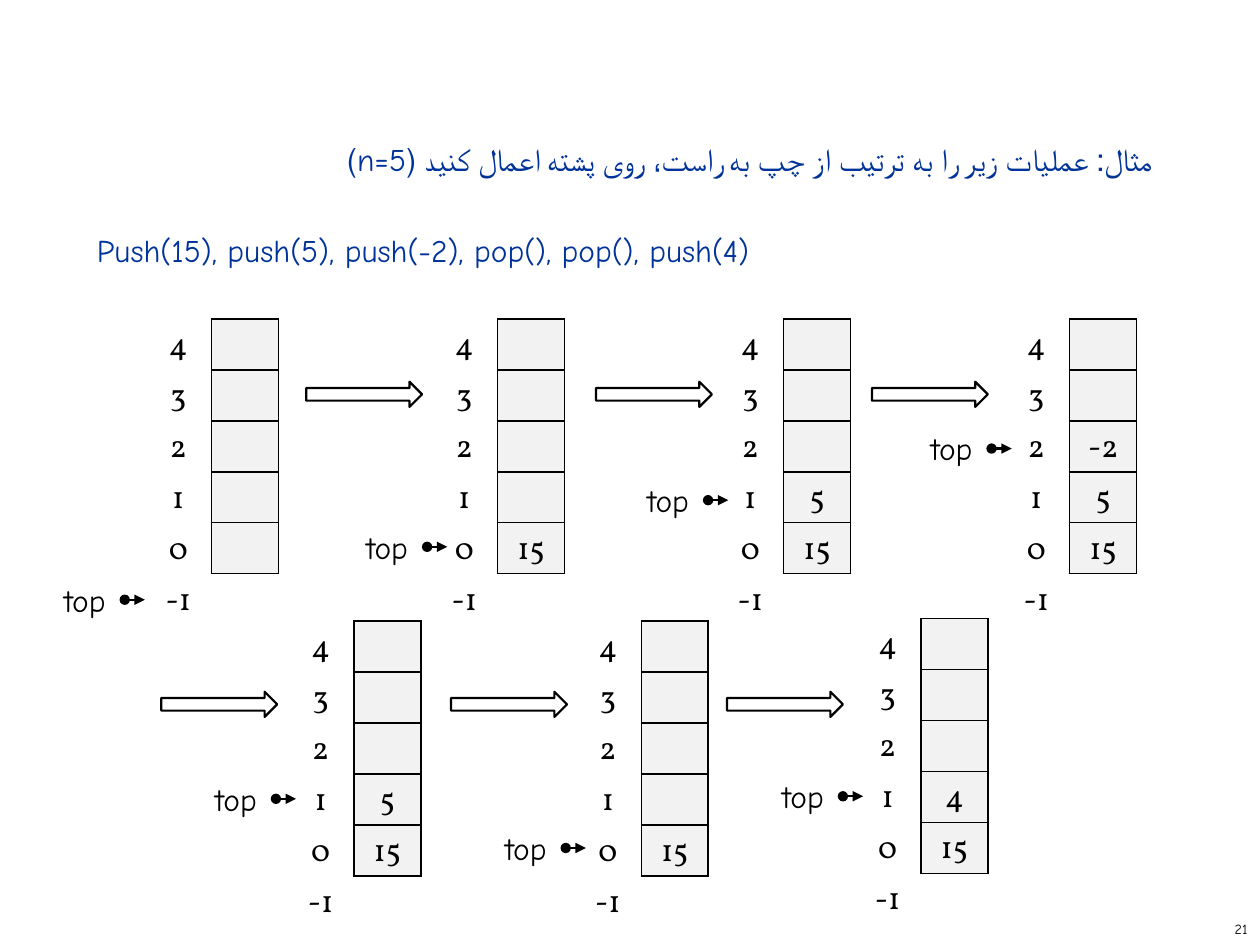
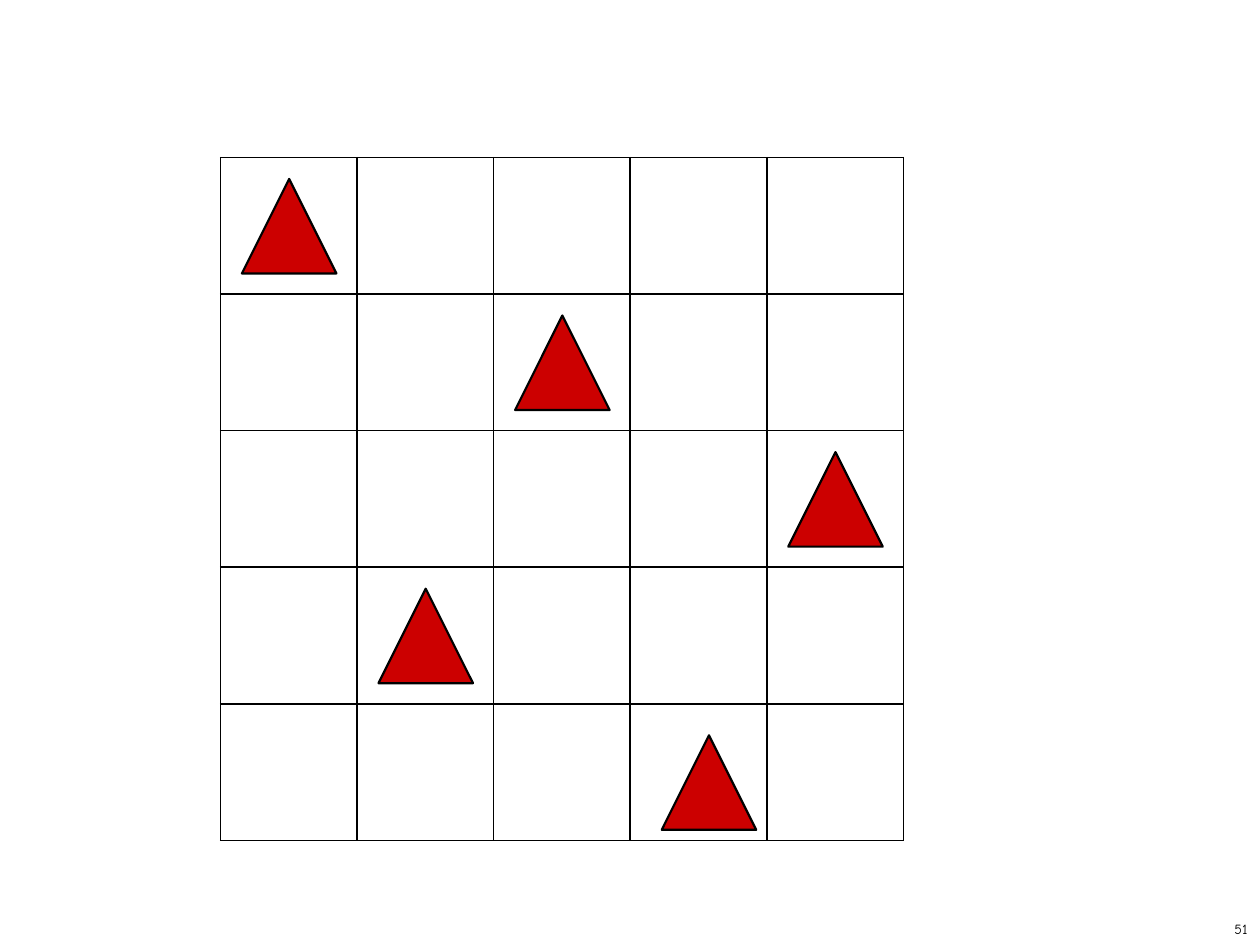
from lxml.etree import SubElement
from pptx import Presentation
from pptx.dml.color import RGBColor
from pptx.enum.shapes import MSO_CONNECTOR, MSO_SHAPE
from pptx.enum.text import MSO_ANCHOR, MSO_AUTO_SIZE, PP_ALIGN
from pptx.oxml.ns import qn
from pptx.util import Inches, Pt

HUES = {"ink": "000000", "blue": "003399", "cell": "F2F2F2", "red": "CC0000"}
SANS, SERIF = "Comic Neue", "Vollkorn"
PLAIN = "{2D5ABB26-0587-4C30-8999-92F81FD0307C}"  # table style without grid

# Stack states: left, top, values from index 0 up, left and top of the pointer
STACKS = [
    (1.15, 2.53, [], 0.41, 4.56),
    (3.42, 2.53, ["15"], 2.81, 4.14),
    (5.69, 2.53, ["15", "5"], 5.04, 3.77),
    (7.96, 2.53, ["15", "5", "-2"], 7.29, 3.36),
    (2.28, 4.93, ["15", "5"], 1.61, 6.14),
    (4.56, 4.93, ["15"], 3.91, 6.53),
    (6.78, 4.91, ["15", "4"], 6.11, 6.12),
]
SIZE = 5  # capacity of the stack and side of the board


def hue(name):
    return RGBColor.from_string(HUES[name])


def write(frame, text, size=18, font=SANS, color="ink", align=PP_ALIGN.LEFT,
          pitch=None, rtl=False):
    para = frame.paragraphs[0]
    para.alignment = align
    if pitch:
        para.line_spacing = Pt(pitch)
    if rtl:
        para._p.get_or_add_pPr().set("rtl", "1")
    run = para.add_run()
    run.text = text
    run.font.size = Pt(size)
    run.font.name = font
    run.font.color.rgb = hue(color)


def add_text(shapes, box, text, wrap=True, **style):
    frame = shapes.add_textbox(*map(Inches, box)).text_frame
    frame.word_wrap = wrap
    write(frame, text, **style)
    return frame


def add_page(slide, num):
    frame = add_text(slide.shapes, (7.92, 7.25, 2.08, 0.25), num, size=8,
                     align=PP_ALIGN.RIGHT)
    frame.vertical_anchor = MSO_ANCHOR.MIDDLE


def add_form(slide, kind, box, fill=None):
    form = slide.shapes.add_shape(kind, *map(Inches, box))
    form.shadow.inherit = False
    form.line.color.rgb = hue("ink")
    form.line.width = Pt(1.25)
    if fill:
        form.fill.solid()
        form.fill.fore_color.rgb = hue(fill)
    else:
        form.fill.background()


def add_grid(slide, rows, cols, box):
    table = slide.shapes.add_table(rows, cols, *map(Inches, box)).table
    table.first_row = table.horz_banding = False
    table._tbl.tblPr.find(qn("a:tableStyleId")).text = PLAIN
    return table


def dress(cell, sides, fill=None):
    """Draw the borders named in sides (from L, R, T, B) and fill the cell."""
    props = cell._tc.get_or_add_tcPr()
    for side in sides:
        line = SubElement(props, qn("a:ln" + side), w=str(Pt(1)))
        paint = SubElement(line, qn("a:solidFill"))
        SubElement(paint, qn("a:srgbClr"), val=HUES["ink"])
    if fill:
        cell.fill.solid()
        cell.fill.fore_color.rgb = hue(fill)
    else:
        cell.fill.background()


def add_stack(slide, left, top, values):
    table = add_grid(slide, SIZE + 1, 2, (left, top, 1.06, 2.43))
    for row in range(SIZE + 1):
        index = SIZE - 1 - row
        label, slot = table.cell(row, 0), table.cell(row, 1)
        dress(label, "R" if index >= 0 else "")
        dress(slot, "LRTB" if index >= 0 else "T", "cell" if index >= 0 else None)
        if values:  # the empty stack keeps its taller rows
            label.margin_bottom = slot.margin_bottom = 0
        style = dict(font=SERIF, align=PP_ALIGN.CENTER)
        write(label.text_frame, str(index), **style)
        if 0 <= index < len(values):
            write(slot.text_frame, values[index], **style)


def add_top(slide, left, top):
    group = slide.shapes.add_group_shape()
    y = Inches(top + 0.2)
    line = group.shapes.add_connector(
        MSO_CONNECTOR.STRAIGHT, Inches(left + 0.58), y, Inches(left + 0.74), y)
    line.line.color.rgb = hue("ink")
    line.line.width = Pt(1.25)
    stroke = line.line._get_or_add_ln()
    SubElement(stroke, qn("a:headEnd"), type="oval")
    SubElement(stroke, qn("a:tailEnd"), type="triangle")
    SubElement(line._element.spPr, qn("a:effectLst"))
    add_text(group.shapes, (left, top, 0.59, 0.4), "top", wrap=False)


def make_stacks(deck):
    slide = deck.slides.add_slide(deck.slide_layouts[5])

    # Heading and operations
    title = slide.shapes.title
    title.left, title.top, title.width, title.height = map(
        Inches, (0.67, 1, 8.58, 0.72))
    frame = title.text_frame
    frame.auto_size = MSO_AUTO_SIZE.NONE
    frame.vertical_anchor = MSO_ANCHOR.TOP
    write(frame, "مثال: عملیات زیر را به ترتیب از چپ به راست، روی پشته اعمال کنید (n=5)",
          color="blue", align=PP_ALIGN.RIGHT, pitch=26, rtl=True)
    add_text(slide.shapes, (0.67, 1.72, 8.58, 0.46),
             "Push(15), push(5), push(-2), pop(), pop(), push(4)",
             color="blue", pitch=26)

    # Stack states with their pointers
    for left, top, values, x, y in STACKS:
        add_stack(slide, left, top, values)
        add_top(slide, x, y)

    # Arrows between the states
    for start, top in ((2.43, 3.03), (1.28, 5.49)):
        for step in (0, 2.3, 4.49):
            add_form(slide, MSO_SHAPE.RIGHT_ARROW, (start + step, top, 0.92, 0.2))
    add_page(slide, "21")


def make_board(deck):
    slide = deck.slides.add_slide(deck.slide_layouts[6])
    left, top, side = 1.75, 1.25, 5.42

    # Board
    table = add_grid(slide, SIZE, SIZE, (left, top, side, side))
    for cell in table.iter_cells():
        dress(cell, "LRTB")
    add_page(slide, "51")

    # Queens: column, row, distance from the corner of the cell
    step = side / SIZE
    for col, row, gap in ((0, 0, 0.17), (2, 1, 0.17), (4, 2, 0.17),
                          (1, 3, 0.17), (3, 4, 0.25)):
        add_form(slide, MSO_SHAPE.ISOSCELES_TRIANGLE,
                 (left + col * step + gap, top + row * step + gap, 0.75, 0.75),
                 "red")


def main():
    deck = Presentation()
    deck.slide_width, deck.slide_height = Inches(10), Inches(7.5)
    make_stacks(deck)
    make_board(deck)
    deck.save("out.pptx")


if __name__ == "__main__":
    main()
